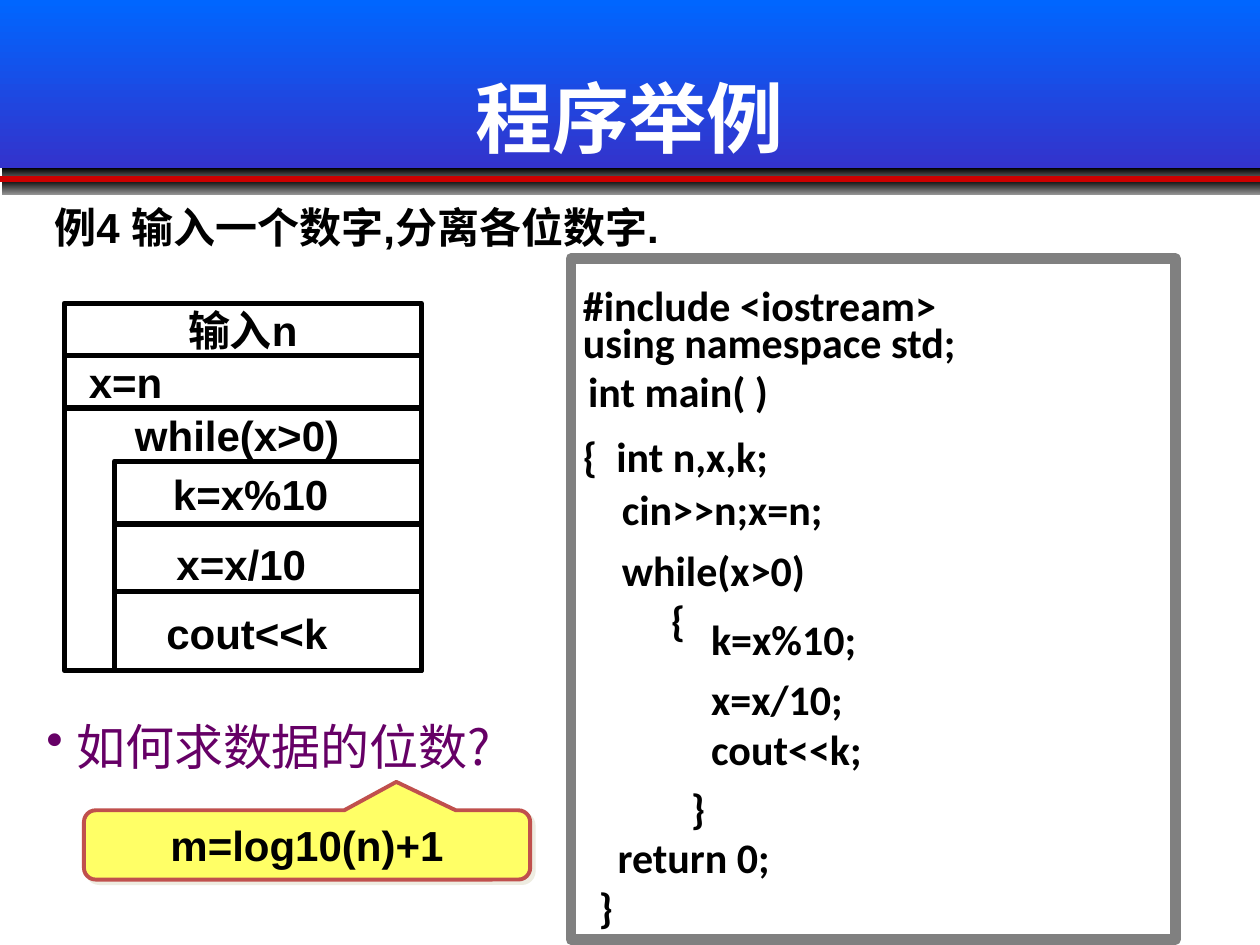
from lxml import etree
from pptx import Presentation
from pptx import util as u
from pptx.dml.color import RGBColor
from pptx.enum import shapes, text
from pptx.oxml import parse_xml
from pptx.oxml.ns import qn

NS = "http://schemas.openxmlformats.org/drawingml/2006/main"
COLORS = {
    "black": "000000", "white": "FFFFFF", "gray": "808080", "band": "929292",
    "sky": "0066FF", "blue": "3333CC", "red": "CC0000", "purple": "660066",
    "yellow": "FFFF66", "brick": "C0504D", "shade": "EEECE1",
}
CJK = "Noto Sans CJK SC"


def rgb(name):
    return RGBColor.from_string(COLORS[name])


def write(sp, content, size=24, font="Arial", color="black", bold=True,
          align="LEFT", anchor="MIDDLE", wrap=True, grow=False, left=7.2, bullet=None):
    """Fill a shape with one paragraph per line of content."""
    tf = sp.text_frame
    tf.word_wrap = wrap
    tf.auto_size = text.MSO_AUTO_SIZE.SHAPE_TO_FIT_TEXT if grow else text.MSO_AUTO_SIZE.NONE
    tf.vertical_anchor = text.MSO_ANCHOR[anchor]
    tf.margin_left = u.Pt(left)
    for i, line in enumerate(content.split("\n")):
        p = tf.add_paragraph() if i else tf.paragraphs[0]
        p.alignment = text.PP_ALIGN[align]
        if bullet:
            pPr = p._p.get_or_add_pPr()
            pPr.set("marL", str(u.Pt(17)))
            pPr.set("indent", str(-u.Pt(17)))
            etree.SubElement(pPr, qn("a:buChar")).set("char", bullet)
        r = p.add_run()
        r.text = line
        r.font.size, r.font.name, r.font.bold = u.Pt(size), font, bold
        r.font.color.rgb = rgb(color)
        etree.SubElement(r._r.get_or_add_rPr(), qn("a:ea")).set("typeface", CJK)


class Slide:
    """The current slide and the house style of its elements."""

    def __init__(self, prs):
        self.s = prs.slides.add_slide(prs.slide_layouts[6])

    def box(self, x, y, w, h, kind="RECTANGLE", fill=None, line=None, width=3, shadow=False):
        sp = self.s.shapes.add_shape(shapes.MSO_SHAPE[kind], *map(u.Pt, (x, y, w, h)))
        sp.shadow.inherit = False
        if isinstance(fill, tuple):
            sp.fill.gradient()
            sp.fill.gradient_angle = 270
            for stop, name in zip(sp.fill.gradient_stops, fill):
                stop.color.rgb = rgb(name)
        elif fill:
            sp.fill.solid()
            sp.fill.fore_color.rgb = rgb(fill)
        else:
            sp.fill.background()
        if line:
            sp.line.color.rgb = rgb(line)
            sp.line.width = u.Pt(width)
        else:
            sp.line.fill.background()
        if shadow:
            sp._element.spPr.find(qn("a:effectLst")).append(parse_xml(
                f'<a:outerShdw xmlns:a="{NS}" dist="{u.Pt(2.8)}" dir="2700000" algn="ctr" '
                f'rotWithShape="0"><a:srgbClr val="{COLORS["shade"]}"/></a:outerShdw>'))
        return sp

    def line(self, x1, x2, y, color="black"):
        c = self.s.shapes.add_connector(shapes.MSO_CONNECTOR.STRAIGHT, *map(u.Pt, (x1, y, x2, y)))
        c.line.color.rgb = rgb(color)
        c.line.width = u.Pt(3)
        etree.SubElement(c._element.spPr, qn("a:effectLst"))

    def label(self, x, y, w, content, h=36, **fmt):
        sp = self.s.shapes.add_textbox(*map(u.Pt, (x, y, w, h)))
        write(sp, content, **fmt)


def main():
    prs = Presentation()
    prs.slide_width, prs.slide_height = u.Pt(720), u.Pt(540)
    page = Slide(prs)

    # Header band, double grey bar and red rule
    page.box(0, 0, 720, 96, fill=("sky", "blue"), shadow=True)
    for y in (96, 102.5):
        page.box(1, y, 719, 8.8, fill=("black", "band"))
    page.line(0, 720, 102.25, "red")
    page.label(36, 21.6, 648, "程序举例", h=90, size=44, font="Calibri",
               color="white", align="CENTER")
    page.label(24, 111.7, 660, "例4 输入一个数字,分离各位数字.", grow=True)

    # Structure chart: two steps, then the loop with its three-step body
    left, right = 36.75, 240.75
    width = right - left
    step = page.box(left, 173.25, width, 30, line="black")
    write(step, "输入n", align="CENTER", wrap=False)
    page.box(left, 233.25, width, 150, line="black")
    page.box(65.5, 263.5, right - 65.5, 119.75, line="black")
    step = page.box(left, 203.25, width, 30, line="black")
    write(step, "x=n", left=14, wrap=False)
    for y in (299.5, 338):
        page.line(65.5, right, y)
    for x, y, w, content in (
        (70, 230.6, 131, "while(x>0)"),
        (91.4, 264.4, 103.7, "k=x%10"),
        (93.6, 304, 88.6, "x=x/10"),
        (87.8, 343.6, 106.6, "cout<<k"),
    ):
        page.label(x, y, w, content, align="CENTER", wrap=False, grow=True)

    # Code panel
    page.box(326.25, 147.75, 345.5, 389.25, line="gray", width=6)
    for x, y, w, h, code in (
        (326, 156.2, 219, 36, "#include <iostream>"),
        (326, 177, 230, 36, "using namespace std;"),
        (329, 205.2, 118, 36, "int main( )"),
        (326, 242.6, 122, 36, "{  int n,x,k;"),
        (332, 272.9, 249, 36, "   cin>>n;x=n;"),
        (332, 307.4, 137, 36, "   while(x>0)"),
        (360, 336, 39, 36, "   {"),
        (383, 347, 114, 36, "   k=x%10;"),
        (383, 381, 107, 36, "   x=x/10;"),
        (383, 409.7, 118, 36, "   cout<<k;"),
        (371.5, 443.5, 39, 36, "   }"),
        (335, 471, 119, 65.5, "  return 0;\n}"),
    ):
        page.label(x, y, w, code, h=h, font="Calibri", wrap=False, grow=True)

    # Question and its answer callout
    page.label(19.5, 406, 335, "如何求数据的位数?", h=41, size=28, font=CJK, color="purple",
               bold=False, anchor="TOP", grow=True, bullet="•")
    callout = page.box(48, 463, 255, 39.6, kind="ROUNDED_RECTANGULAR_CALLOUT",
                       fill="yellow", line="brick", width=2.25, shadow=True)
    for i, value in enumerate((0.2, -0.91, 0.17)):
        callout.adjustments[i] = value
    write(callout, "m=log10(n)+1", align="CENTER", anchor="TOP")

    prs.save("out.pptx")


if __name__ == "__main__":
    main()
